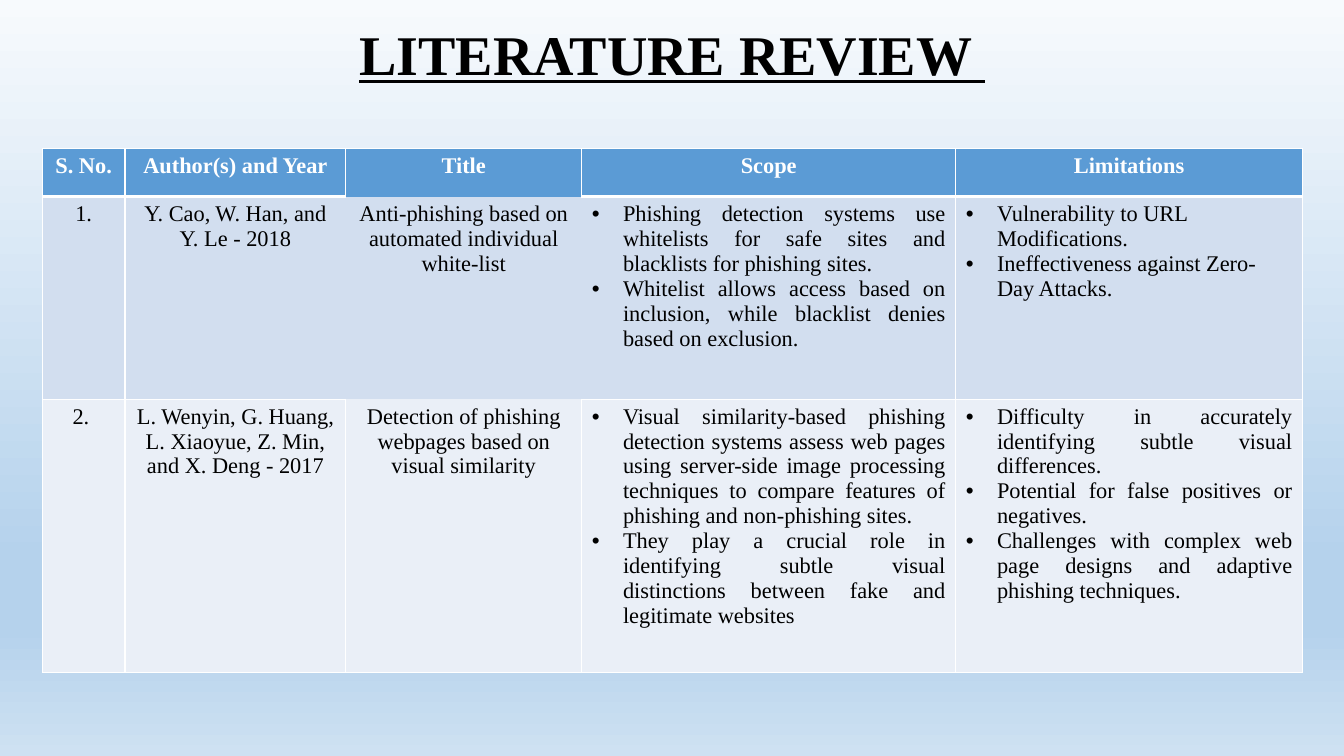
from lxml.etree import SubElement
from pptx import Presentation
from pptx.dml.color import RGBColor
from pptx.enum.text import MSO_ANCHOR, PP_ALIGN
from pptx.oxml.ns import qn
from pptx.util import Inches, Pt

FONT = "Times New Roman"
BLACK = RGBColor(0x00, 0x00, 0x00)
WHITE = RGBColor(0xFF, 0xFF, 0xFF)
HEADER_BLUE = RGBColor(0x5B, 0x9B, 0xD5)
ROW_BLUE = RGBColor(0xD2, 0xDE, 0xEF)
ROW_PALE = RGBColor(0xEA, 0xEF, 0xF7)
SKY_TOP = RGBColor(0xF7, 0xFA, 0xFD)
SKY_MIDDLE = RGBColor(0xB5, 0xD2, 0xEC)
SKY_BOTTOM = RGBColor(0xCE, 0xE1, 0xF2)
SKY_STOPS = [(0, SKY_TOP), (74, SKY_MIDDLE), (83, SKY_MIDDLE), (100, SKY_BOTTOM)]

COLUMN_WIDTHS = [0.82, 2.19, 2.34, 3.71, 3.44]
ROW_HEIGHTS = [0.48, 2.01, 2.71]
ROW_FILLS = [HEADER_BLUE, ROW_BLUE, ROW_PALE]
TITLE_COLUMN = 2
SCOPE_COLUMN = 3
BULLET_INDENT = Inches(0.31)

REVIEW_ROWS = [
    ["S. No.", "Author(s) and Year", "Title", "Scope", "Limitations"],
    [
        "1.",
        "Y. Cao, W. Han, and Y. Le - 2018",
        "Anti-phishing based on automated individual white-list",
        "Phishing detection systems use whitelists for safe sites and blacklists for phishing sites. \n"
        "Whitelist allows access based on inclusion, while blacklist denies based on exclusion.",
        "Vulnerability to URL Modifications.\n"
        "Ineffectiveness against Zero-Day Attacks.",
    ],
    [
        "2. ",
        "L. Wenyin, G. Huang, L. Xiaoyue, Z. Min, and X. Deng - 2017",
        "Detection of phishing webpages based on visual similarity",
        "Visual similarity-based phishing detection systems assess web pages using server-side "
        "image processing techniques to compare features of phishing and non-phishing sites. \n"
        "They play a crucial role in identifying subtle visual distinctions between fake and "
        "legitimate websites ",
        "Difficulty in accurately identifying subtle visual differences.\n"
        "Potential for false positives or negatives.\n"
        "Challenges with complex web page designs and adaptive phishing techniques.",
    ],
]


def format_paragraph(paragraph, size, color, bold, alignment):
    paragraph.alignment = alignment
    for run in paragraph.runs:
        run.font.name = FONT
        run.font.size = Pt(size)
        run.font.bold = bold
        run.font.color.rgb = color


def set_borders(cell, widths):
    properties = cell._tc.get_or_add_tcPr()
    for position, (side, width) in enumerate(widths.items()):
        line = properties.makeelement(qn(f"a:ln{side}"), {"w": str(Pt(width))})
        properties.insert(position, line)
        if width:
            fill = SubElement(line, qn("a:solidFill"))
            SubElement(fill, qn("a:srgbClr"), val=str(WHITE))
        else:
            SubElement(line, qn("a:noFill"))


presentation = Presentation()
presentation.slide_width = Inches(13.33)
presentation.slide_height = Inches(7.5)
slide = presentation.slides.add_slide(presentation.slide_layouts[6])

background = slide.background.fill
background.gradient()
background.gradient_angle = 270
stop_list = slide.element.find(".//" + qn("a:gsLst"))
for stop in list(stop_list):
    stop_list.remove(stop)
for percent, color in SKY_STOPS:
    stop = SubElement(stop_list, qn("a:gs"), pos=str(percent * 1000))
    SubElement(stop, qn("a:srgbClr"), val=str(color))

title = slide.shapes.add_textbox(Inches(0.92), Inches(0), Inches(11.5), Inches(1.13))
title.text_frame.word_wrap = True
title.text_frame.vertical_anchor = MSO_ANCHOR.MIDDLE
title.text_frame.text = "LITERATURE REVIEW "
heading = title.text_frame.paragraphs[0]
heading.line_spacing = 0.9
format_paragraph(heading, 40, BLACK, True, PP_ALIGN.CENTER)
heading.runs[0].font.underline = True

table = slide.shapes.add_table(
    len(ROW_HEIGHTS), len(COLUMN_WIDTHS),
    Inches(0.42), Inches(1.47), Inches(12.49), Inches(5.2),
).table
for column, width in zip(table.columns, COLUMN_WIDTHS):
    column.width = Inches(width)
for row, height in zip(table.rows, ROW_HEIGHTS):
    row.height = Inches(height)

for row_index, texts in enumerate(REVIEW_ROWS):
    is_header = row_index == 0
    for column_index, text in enumerate(texts):
        cell = table.cell(row_index, column_index)
        cell.fill.solid()
        cell.fill.fore_color.rgb = ROW_FILLS[row_index]
        cell.text_frame.text = text

        is_bulleted = not is_header and column_index >= SCOPE_COLUMN
        alignment = PP_ALIGN.JUSTIFY if is_bulleted else PP_ALIGN.CENTER
        if row_index == 1 and column_index > SCOPE_COLUMN:
            alignment = PP_ALIGN.LEFT
        for paragraph in cell.text_frame.paragraphs:
            format_paragraph(paragraph, 16, WHITE if is_header else BLACK, is_header, alignment)
            if is_bulleted:
                properties = paragraph._p.get_or_add_pPr()
                properties.set("marL", str(BULLET_INDENT))
                properties.set("indent", str(-BULLET_INDENT))
                SubElement(properties, qn("a:buFont"), typeface="Arial")
                SubElement(properties, qn("a:buChar"), char="•")

        widths = {"L": 1, "R": 1, "T": 1, "B": 1}
        if row_index == 0:
            widths["B"] = 3
        if row_index == 1:
            widths["T"] = 3
            if column_index == TITLE_COLUMN - 1:
                widths["R"] = 0
            if column_index == TITLE_COLUMN + 1:
                widths["L"] = 0
        if column_index == TITLE_COLUMN:
            if row_index == 0:
                widths["B"] = 0
            if row_index == 1:
                widths = dict.fromkeys(widths, 0)
            if row_index == 2:
                widths["T"] = 0
        set_borders(cell, widths)

presentation.save("out.pptx")
